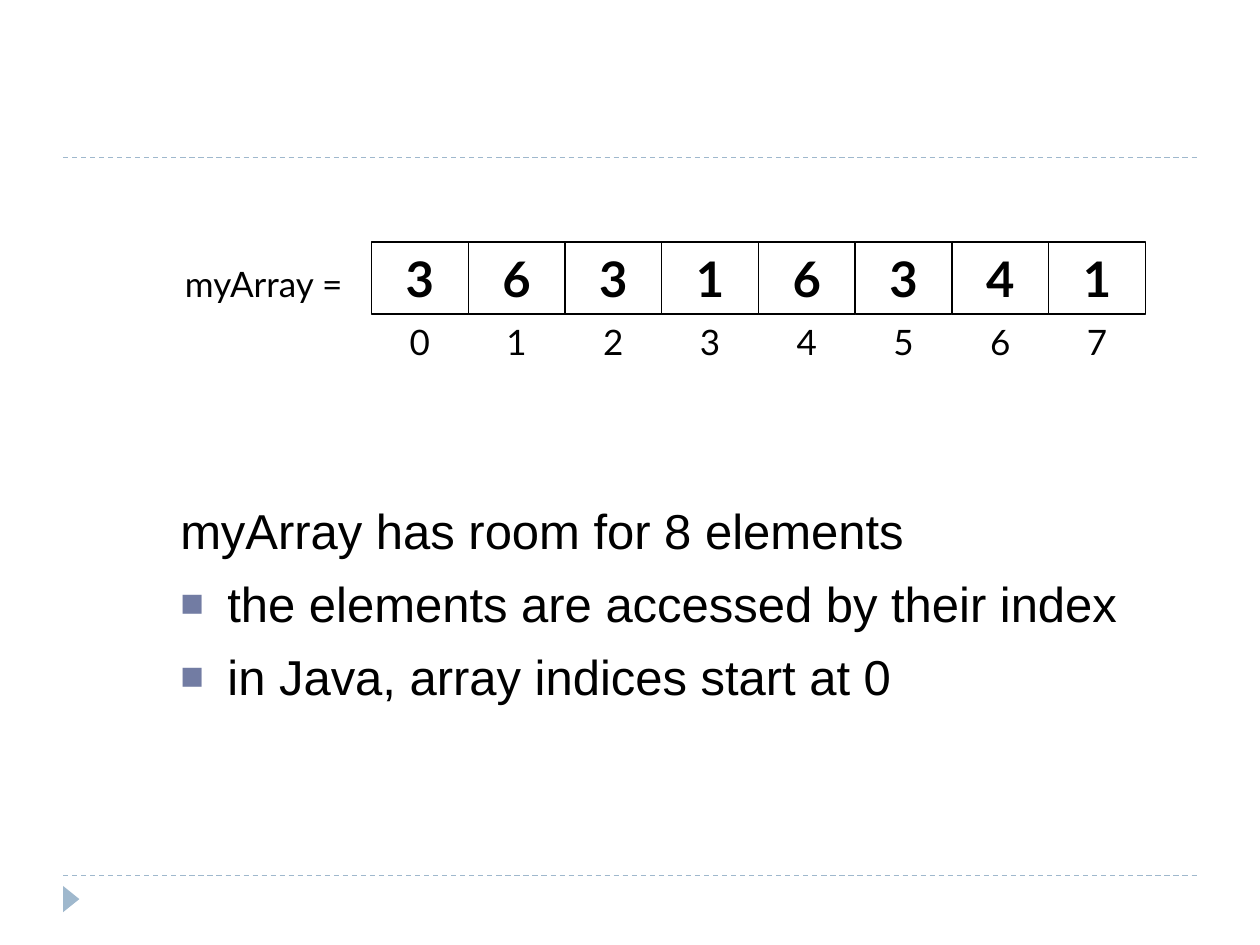
"""Build a slide showing an eight-element array with its indices and three notes."""
from dataclasses import dataclass

import lxml.etree
import pptx
import pptx.dml.color
import pptx.enum.dml
import pptx.enum.shapes
import pptx.enum.text
import pptx.oxml.ns
import pptx.util

Cm = pptx.util.Cm
Pt = pptx.util.Pt
Align = pptx.enum.text.PP_ALIGN

BLACK = "000000"
ACCENT = "9FB8CD"
BULLET = "727CA3"
VALUES = (3, 6, 3, 1, 6, 3, 4, 1)
CELL_LEFT, CELL_WIDTH = 7.49, 1.95
VALUE_TOP, VALUE_HEIGHT = 4.88, 1.45
INDEX_TOP, INDEX_HEIGHT = 6.34, 1.12
RULE_TOPS = (17.65, 3.18)


@dataclass(frozen=True)
class TextRun:
    text: str
    size: float
    bold: bool = False
    font: str = "Lato"


@dataclass(frozen=True)
class Box:
    left: float
    top: float
    width: float
    height: float
    runs: tuple[TextRun, ...]
    alignment: Align = Align.CENTER
    outlined: bool = False


@dataclass(frozen=True)
class Note:
    text: str
    bulleted: bool = True


NOTES = (
    Note("myArray has room for 8 elements", bulleted=False),
    Note("the elements are accessed by their index"),
    Note("in Java, array indices start at 0"),
)


def set_color(color_format, value: str) -> None:
    color_format.rgb = pptx.dml.color.RGBColor.from_string(value)


def add_child(parent, tag: str, **attributes: str):
    return lxml.etree.SubElement(parent, pptx.oxml.ns.qn(tag), attributes)


def add_run(paragraph, text_run: TextRun) -> None:
    run = paragraph.add_run()
    run.text = text_run.text
    run.font.name = text_run.font
    run.font.size = Pt(text_run.size)
    run.font.bold = text_run.bold
    set_color(run.font.color, BLACK)


def add_box(shapes, box: Box) -> None:
    position = Cm(box.left), Cm(box.top), Cm(box.width), Cm(box.height)
    if box.outlined:
        shape = shapes.add_shape(pptx.enum.shapes.MSO_SHAPE.RECTANGLE, *position)
        shape.shadow.inherit = False
        shape.fill.background()
        set_color(shape.line.color, BLACK)
        shape.line.width = Pt(0.75)
    else:
        shape = shapes.add_textbox(*position)
    frame = shape.text_frame
    frame.word_wrap = True
    frame.vertical_anchor = pptx.enum.text.MSO_ANCHOR.TOP
    paragraph = frame.paragraphs[0]
    paragraph.alignment = box.alignment
    for text_run in box.runs:
        add_run(paragraph, text_run)


def add_array(slide) -> None:
    group = slide.shapes.add_group_shape()
    for index, value in enumerate(VALUES):
        left = CELL_LEFT + index * CELL_WIDTH
        add_box(group.shapes, Box(left, VALUE_TOP, CELL_WIDTH, VALUE_HEIGHT,
                                  (TextRun(str(value), 28, bold=True),), outlined=True))
        add_box(group.shapes, Box(left, INDEX_TOP, CELL_WIDTH, INDEX_HEIGHT,
                                  (TextRun(str(index), 20),)))
    label = TextRun("myArray =", 20), TextRun(" ", 28, bold=True)
    add_box(group.shapes, Box(3.48, VALUE_TOP, 4.01, VALUE_HEIGHT, label, Align.LEFT))


def add_rule(slide, top: float) -> None:
    rule = slide.shapes.add_connector(pptx.enum.shapes.MSO_CONNECTOR.STRAIGHT,
                                      Cm(1.27), Cm(top), Cm(24.13), Cm(top))
    set_color(rule.line.color, ACCENT)
    rule.line.width = Pt(0.75)
    rule.line.dash_style = pptx.enum.dml.MSO_LINE.DASH
    add_child(rule._element.spPr, "a:effectLst")


def add_marker(slide) -> None:
    marker = slide.shapes.add_shape(pptx.enum.shapes.MSO_SHAPE.ISOSCELES_TRIANGLE,
                                    Cm(1.17), Cm(17.96), Cm(0.53), Cm(0.33))
    marker.rotation = 90
    marker.shadow.inherit = False
    marker.fill.solid()
    set_color(marker.fill.fore_color, ACCENT)
    marker.line.fill.background()


def format_bullet(paragraph, bulleted: bool) -> None:
    properties = paragraph._p.get_or_add_pPr()
    properties.set("marL", str(Cm(0.95)))
    properties.set("indent", str(Cm(-0.95)))
    if not bulleted:
        add_child(properties, "a:buNone")
        return
    add_child(add_child(properties, "a:buClr"), "a:srgbClr", val=BULLET)
    add_child(properties, "a:buSzPct", val="80000")
    add_child(properties, "a:buFont", typeface="Arial")
    add_child(properties, "a:buChar", char="■")


def fill_notes(body) -> None:
    body.left, body.top, body.width, body.height = Cm(3.38), Cm(9.96), Cm(20.96), Cm(6.78)
    frame = body.text_frame
    frame.word_wrap = True
    frame.auto_size = pptx.enum.text.MSO_AUTO_SIZE.NONE
    frame.vertical_anchor = pptx.enum.text.MSO_ANCHOR.TOP
    for position, note in enumerate(NOTES):
        paragraph = frame.add_paragraph() if position else frame.paragraphs[0]
        paragraph.space_before = Pt(8)
        format_bullet(paragraph, note.bulleted)
        add_run(paragraph, TextRun(note.text, 28, font="Arial"))


def main() -> None:
    presentation = pptx.Presentation()
    presentation.slide_width, presentation.slide_height = Cm(25.4), Cm(19.05)
    slide = presentation.slides.add_slide(presentation.slide_layouts[1])
    title = slide.shapes.title._element
    title.getparent().remove(title)
    for top in RULE_TOPS:
        add_rule(slide, top)
    add_marker(slide)
    fill_notes(slide.placeholders[1])
    add_array(slide)
    presentation.save("out.pptx")


if __name__ == "__main__":
    main()
